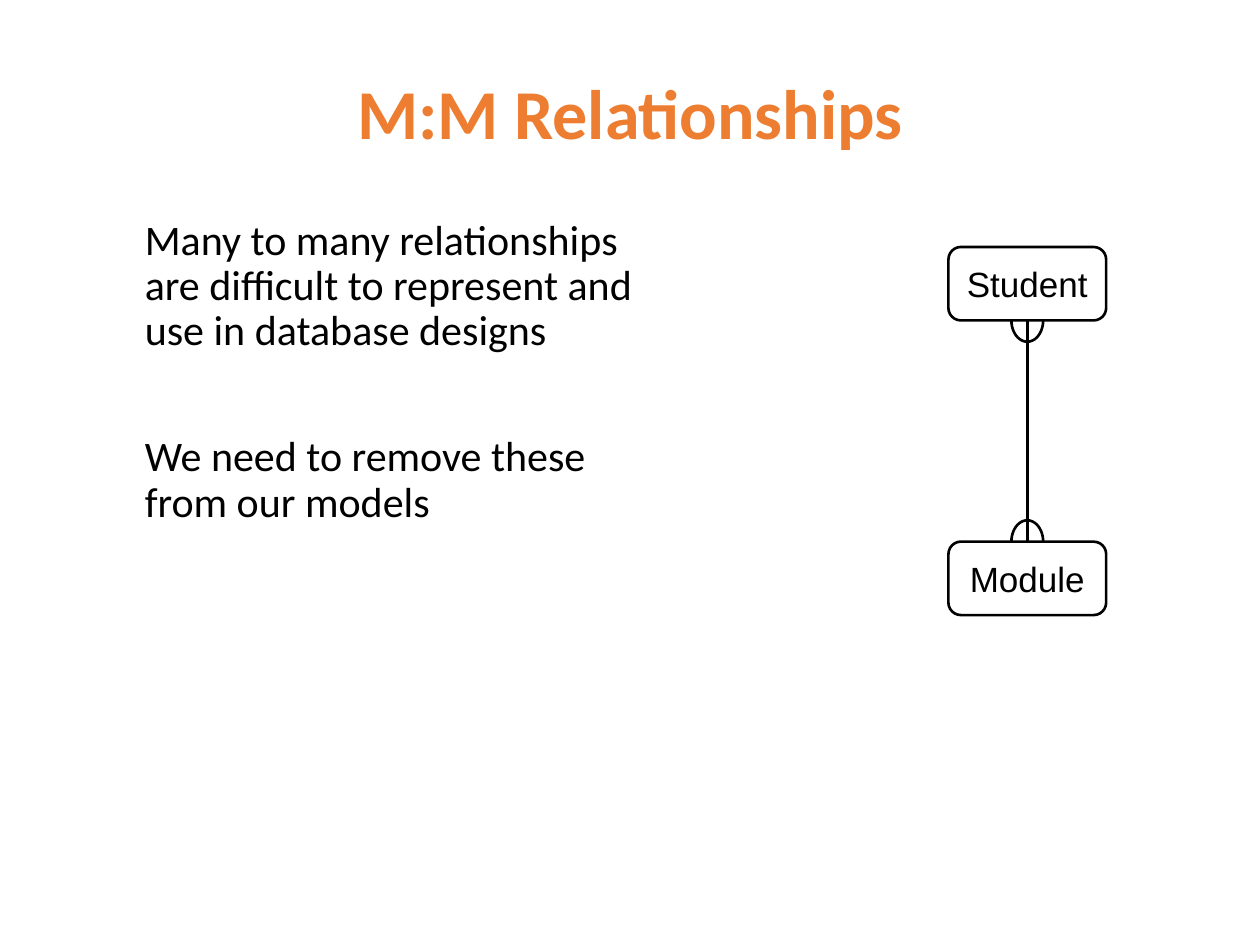
import math

import pptx
import pptx.dml.color
import pptx.enum.shapes
import pptx.enum.text
import pptx.oxml
import pptx.util

Cm, Pt = pptx.util.Cm, pptx.util.Pt
RGBColor = pptx.dml.color.RGBColor
ALIGN = pptx.enum.text.PP_ALIGN
ANCHOR = pptx.enum.text.MSO_ANCHOR

# Content
TITLE = "M:M Relationships"
POINTS = [
    "Many to many relationships are difficult to represent and use in database designs",
    "We need to remove these from our models",
]
ENTITIES = ["Student", "Module"]

# Theme
BLACK = RGBColor(0x00, 0x00, 0x00)
ORANGE = RGBColor(0xED, 0x7D, 0x31)
THEME = {
    "title": {"name": "Calibri", "size": Pt(40), "bold": True, "color": ORANGE},
    "body": {"name": "Calibri", "size": Pt(24), "bold": False, "color": BLACK},
    "entity": {"name": "Arial", "size": Pt(20), "bold": False, "color": BLACK},
    "line": {"width": Pt(1.5), "color": BLACK},
}

# Layout
TITLE_AREA = (Cm(1.27), Cm(0.76), Cm(22.86), Cm(3.18))
BODY_AREA = (Cm(2.67), Cm(4.29), Cm(11.23), Cm(8.1))
BOX_LEFT, BOX_TOP, BOX_WIDTH, BOX_HEIGHT = Cm(19.12), Cm(4.98), Cm(3.18), Cm(1.48)
BOX_STEP = Cm(5.94)
MARK_RADIUS, MARK_DEPTH, MARK_SEGMENTS = Cm(0.32), Cm(0.43), 24


def set_values(target, values):
    for name, value in values.items():
        if name == "color":
            target.color.rgb = value
        else:
            setattr(target, name, value)


def write_paragraphs(shape, texts, style, frame_format, paragraph_formats):
    frame = shape.text_frame
    set_values(frame, frame_format)
    frame.text = "\n".join(texts)
    for paragraph, values in zip(frame.paragraphs, paragraph_formats):
        set_values(paragraph, values)
        set_values(paragraph.runs[0].font, THEME[style])


def outline(shape):
    shape.shadow.inherit = False
    shape.fill.background()
    set_values(shape.line, THEME["line"])


def add_entity(slide, name, top):
    box = slide.shapes.add_shape(
        pptx.enum.shapes.MSO_SHAPE.ROUNDED_RECTANGLE, BOX_LEFT, top, BOX_WIDTH, BOX_HEIGHT
    )
    box.adjustments[0] = 0.17
    outline(box)
    write_paragraphs(
        box, [name], "entity",
        {"word_wrap": False, "vertical_anchor": ANCHOR.MIDDLE},
        [{"alignment": ALIGN.CENTER}],
    )
    return box


def add_many_mark(slide, center, edge, direction):
    """Half ellipse on a box edge; direction is 1 downwards, -1 upwards."""
    angles = [math.pi * step / MARK_SEGMENTS for step in range(MARK_SEGMENTS + 1)]
    points = [
        (round(center + MARK_RADIUS * math.cos(angle)),
         round(edge + direction * MARK_DEPTH * math.sin(angle)))
        for angle in angles
    ]
    builder = slide.shapes.build_freeform(*points[0])
    builder.add_line_segments(points[1:], close=False)
    outline(builder.convert_to_shape())


def main():
    presentation = pptx.Presentation()
    presentation.slide_width, presentation.slide_height = Cm(25.4), Cm(19.05)
    slide = presentation.slides.add_slide(presentation.slide_layouts[6])

    # Title and body text
    write_paragraphs(
        slide.shapes.add_textbox(*TITLE_AREA), [TITLE], "title",
        {"word_wrap": True, "vertical_anchor": ANCHOR.MIDDLE},
        [{"alignment": ALIGN.CENTER, "line_spacing": 0.9}],
    )
    write_paragraphs(
        slide.shapes.add_textbox(*BODY_AREA), POINTS, "body",
        {"word_wrap": True, "vertical_anchor": ANCHOR.TOP},
        [{"line_spacing": 0.9, "space_before": Pt(gap)} for gap in (10, 46)],
    )

    # Entities
    upper, lower = [
        add_entity(slide, name, BOX_TOP + index * BOX_STEP)
        for index, name in enumerate(ENTITIES)
    ]

    # Relationship line, from the bottom of one box to the top of the other
    center, start, end = BOX_LEFT + BOX_WIDTH // 2, upper.top + upper.height, lower.top
    link = slide.shapes.add_connector(
        pptx.enum.shapes.MSO_CONNECTOR.STRAIGHT, center, start, center, end
    )
    link.begin_connect(upper, 2)
    link.end_connect(lower, 0)
    set_values(link.line, THEME["line"])
    properties = link._element.spPr
    properties.append(properties.makeelement(pptx.oxml.ns.qn("a:effectLst"), {}))

    # "Many" marks at both ends
    for edge, direction in ((start, 1), (end, -1)):
        add_many_mark(slide, center, edge, direction)

    presentation.save("out.pptx")


if __name__ == "__main__":
    main()
